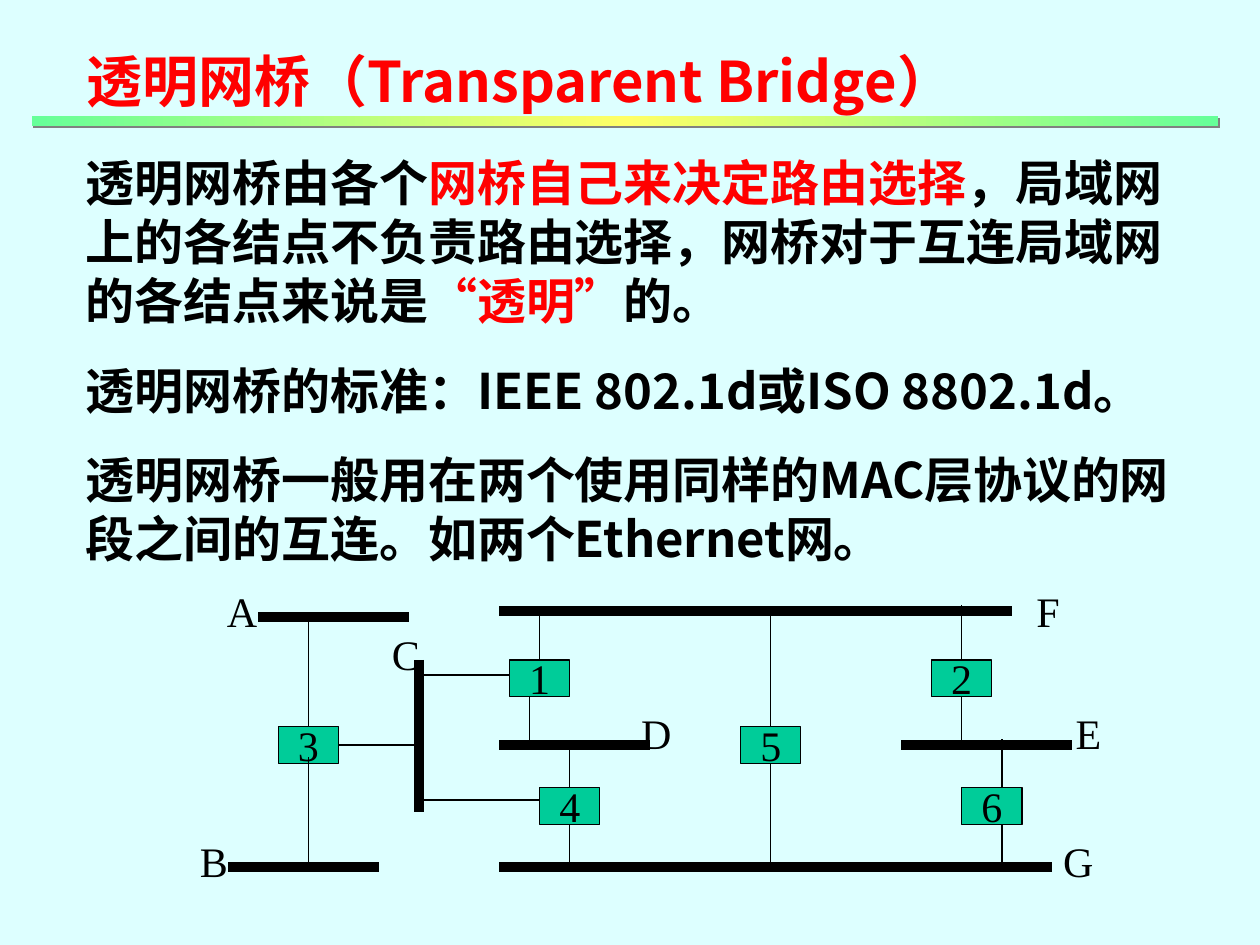
from dataclasses import dataclass
from typing import NamedTuple

from lxml import etree
from pptx import Presentation
from pptx.dml.color import RGBColor
from pptx.enum.shapes import MSO_CONNECTOR, MSO_SHAPE
from pptx.enum.text import MSO_ANCHOR, MSO_AUTO_SIZE, PP_ALIGN
from pptx.oxml import parse_xml
from pptx.oxml.ns import nsdecls, qn
from pptx.util import Inches, Pt

RECTANGLE = MSO_SHAPE.RECTANGLE
STRAIGHT = MSO_CONNECTOR.STRAIGHT
TOP, MIDDLE = MSO_ANCHOR.TOP, MSO_ANCHOR.MIDDLE
LEFT, CENTER = PP_ALIGN.LEFT, PP_ALIGN.CENTER
NO_AUTOFIT = MSO_AUTO_SIZE.NONE

SLIDE_WIDTH, SLIDE_HEIGHT = Inches(10), Inches(7.5)


@dataclass(frozen=True)
class Theme:
    background: str = "DDFFFF"
    ink: str = "000000"
    accent: str = "FF0000"
    bridge: str = "00CC99"
    bar_edge: str = "66FF99"
    bar_middle: str = "FFFF66"
    bar_shadow: str = "808080"
    text_font: str = "Noto Sans CJK SC"
    label_font: str = "Times New Roman"
    title_size: float = 32
    body_size: float = 28
    label_size: float = 24
    title_leading: float = 38.5
    body_leading: float = 33.7
    paragraph_gap: float = 17.5
    segment_width: float = 6
    wire_width: float = 0.75


THEME = Theme()


class Area(NamedTuple):
    left: float
    top: float
    width: float
    height: float

    def lengths(self) -> tuple[int, int, int, int]:
        return (int(SLIDE_WIDTH * self.left / 100), int(SLIDE_HEIGHT * self.top / 100),
                int(SLIDE_WIDTH * self.width / 100), int(SLIDE_HEIGHT * self.height / 100))


class Bridge(NamedTuple):
    name: str
    column: float
    row: float


class Label(NamedTuple):
    name: str
    column: float
    row: float


class Line(NamedTuple):
    start_column: float
    start_row: float
    end_column: float
    end_row: float


class Span(NamedTuple):
    text: str
    color: str = THEME.ink


TITLE_AREA = Area(5.9, 4.27, 74, 8.53)
BODY_AREA = Area(5.8, 15.47, 90.8, 51)
BAR_AREA = Area(2.5, 12.27, 94.2, 1.07)
DIAGRAM_AREA = Area(18.1, 64.67, 67, 27.07)
COLUMNS, ROWS = 84, 42
BRIDGE_COLUMNS, BRIDGE_ROWS = 6, 6
LABEL_COLUMNS, LABEL_ROWS = 6, 10

TITLE = [Span("透明网桥（Transparent Bridge）", THEME.accent)]
BODY = [
    [Span("透明网桥由各个"), Span("网桥自己来决定路由选择", THEME.accent),
     Span("，局域网上的各结点不负责路由选择，网桥对于互连局域网的各结点来说是"),
     Span("“透明”", THEME.accent), Span("的。")],
    [Span("透明网桥的标准：IEEE 802.1d或ISO 8802.1d。")],
    [Span("透明网桥一般用在两个使用同样的MAC层协议的网段之间的互连。如两个Ethernet网。")],
]
BRIDGES = [Bridge("1", 28, 8), Bridge("2", 70, 8), Bridge("3", 5, 19),
           Bridge("4", 31, 29), Bridge("5", 51, 19), Bridge("6", 73, 29)]
SEGMENTS = [Line(3, 1, 18, 1), Line(0, 42, 15, 42), Line(19, 8, 19, 33), Line(27, 22, 42, 22),
            Line(67, 22, 84, 22), Line(27, 0, 78, 0), Line(27, 42, 82, 42)]
WIRES = [Line(8, 1, 8, 19), Line(8, 24, 8, 42), Line(11, 22, 19, 22), Line(31, 0, 31, 8),
         Line(30, 14, 30, 22), Line(34, 22, 34, 29), Line(34, 35, 34, 42), Line(54, 0, 54, 19),
         Line(54, 25, 54, 42), Line(73, 14, 73, 22), Line(73, -1, 73, 8), Line(77, 21, 77, 29),
         Line(77, 35, 77, 42), Line(19, 31, 31, 31), Line(19, 10.5, 28, 10.5)]
LABELS = [Label("A", 1.4, 0), Label("B", -1.4, 41), Label("C", 17.7, 7), Label("D", 42.6, 20),
          Label("E", 85.6, 20), Label("F", 81.6, 0), Label("G", 84.6, 41)]


def color(value: str) -> RGBColor:
    return RGBColor.from_string(value)


def grid_point(column: float, row: float) -> tuple[int, int]:
    left, top, width, height = DIAGRAM_AREA.lengths()
    return int(left + width * column / COLUMNS), int(top + height * row / ROWS)


def grid_box(column: float, row: float, columns: float, rows: float) -> tuple[int, int, int, int]:
    left, top = grid_point(column, row)
    right, bottom = grid_point(column + columns, row + rows)
    return left, top, right - left, bottom - top


def add_run(paragraph, span: Span, font_name: str, size: float, bold: bool) -> None:
    run = paragraph.add_run()
    run.text = span.text
    font = run.font
    font.name, font.size, font.bold = font_name, Pt(size), bold
    font.color.rgb = color(span.color)
    east_asian = etree.SubElement(run._r.get_or_add_rPr(), qn("a:ea"))
    east_asian.set("typeface", font_name)


def fill_placeholder(shape, area: Area, paragraphs: list, size: float, leading: float) -> None:
    shape.left, shape.top, shape.width, shape.height = area.lengths()
    frame = shape.text_frame
    frame.word_wrap, frame.auto_size, frame.vertical_anchor = True, NO_AUTOFIT, TOP
    for index, spans in enumerate(paragraphs):
        paragraph = frame.add_paragraph() if index else frame.paragraphs[0]
        properties = paragraph._p.get_or_add_pPr()
        properties.set("marL", "0")
        properties.set("indent", "0")
        etree.SubElement(properties, qn("a:buNone"))
        paragraph.alignment = LEFT
        paragraph.line_spacing = Pt(leading)
        paragraph.space_before = Pt(THEME.paragraph_gap if index else 0)
        for span in spans:
            add_run(paragraph, span, THEME.text_font, size, True)


def add_bar(slide) -> None:
    bar = slide.shapes.add_shape(RECTANGLE, *BAR_AREA.lengths())
    bar.line.fill.background()
    stops = "".join(
        f'<a:gs pos="{position}"><a:srgbClr val="{value}"/></a:gs>'
        for position, value in ((0, THEME.bar_edge), (50000, THEME.bar_middle), (100000, THEME.bar_edge)))
    gradient = parse_xml(f'<a:gradFill {nsdecls("a")} rotWithShape="1"><a:gsLst>{stops}</a:gsLst>'
                         '<a:lin ang="0" scaled="0"/></a:gradFill>')
    effects = parse_xml(f'<a:effectLst {nsdecls("a")}><a:outerShdw dist="17780" dir="2700000" algn="ctr">'
                        f'<a:srgbClr val="{THEME.bar_shadow}"/></a:outerShdw></a:effectLst>')
    properties = bar._element.spPr
    properties.find(qn("a:prstGeom")).addnext(gradient)
    properties.append(effects)


def write_label(shape, name: str) -> None:
    frame = shape.text_frame
    frame.word_wrap, frame.vertical_anchor = False, MIDDLE
    paragraph = frame.paragraphs[0]
    paragraph.alignment = CENTER
    add_run(paragraph, Span(name), THEME.label_font, THEME.label_size, False)


def add_bridge(slide, bridge: Bridge) -> None:
    shape = slide.shapes.add_shape(
        RECTANGLE, *grid_box(bridge.column, bridge.row, BRIDGE_COLUMNS, BRIDGE_ROWS))
    shape.shadow.inherit = False
    shape.fill.solid()
    shape.fill.fore_color.rgb = color(THEME.bridge)
    shape.line.color.rgb = color(THEME.ink)
    shape.line.width = Pt(THEME.wire_width)
    write_label(shape, bridge.name)


def add_line(slide, line: Line, width: float) -> None:
    connector = slide.shapes.add_connector(
        STRAIGHT, *grid_point(line.start_column, line.start_row), *grid_point(line.end_column, line.end_row))
    connector.line.color.rgb = color(THEME.ink)
    connector.line.width = Pt(width)
    etree.SubElement(connector._element.spPr, qn("a:effectLst"))


def add_label(slide, label: Label) -> None:
    box = grid_box(label.column - LABEL_COLUMNS / 2, label.row - LABEL_ROWS / 2, LABEL_COLUMNS, LABEL_ROWS)
    write_label(slide.shapes.add_textbox(*box), label.name)


def main() -> None:
    presentation = Presentation()
    presentation.slide_width, presentation.slide_height = SLIDE_WIDTH, SLIDE_HEIGHT
    slide = presentation.slides.add_slide(presentation.slide_layouts[1])
    slide.background.fill.solid()
    slide.background.fill.fore_color.rgb = color(THEME.background)
    fill_placeholder(slide.shapes.title, TITLE_AREA, [TITLE], THEME.title_size, THEME.title_leading)
    fill_placeholder(slide.placeholders[1], BODY_AREA, BODY, THEME.body_size, THEME.body_leading)
    add_bar(slide)
    for bridge in BRIDGES:
        add_bridge(slide, bridge)
    for lines, width in ((SEGMENTS, THEME.segment_width), (WIRES, THEME.wire_width)):
        for line in lines:
            add_line(slide, line, width)
    for label in LABELS:
        add_label(slide, label)
    presentation.save("out.pptx")


if __name__ == "__main__":
    main()
